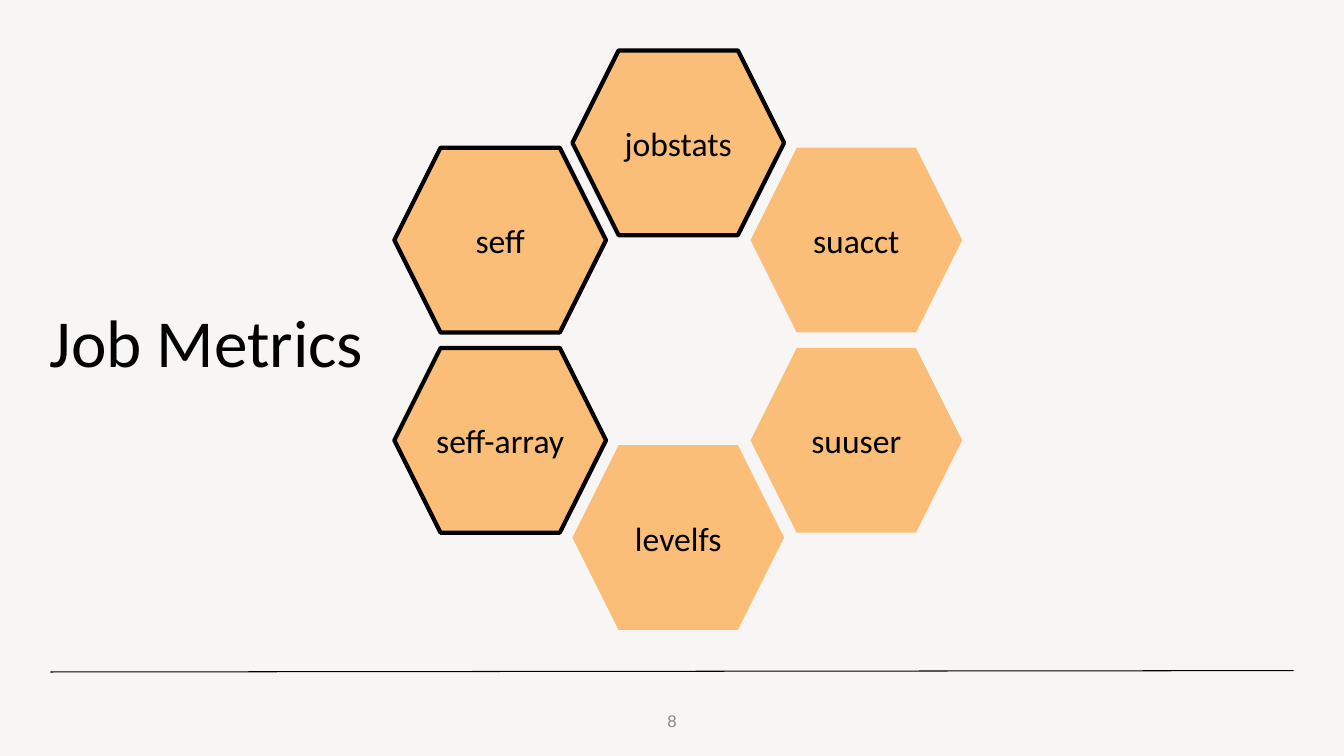
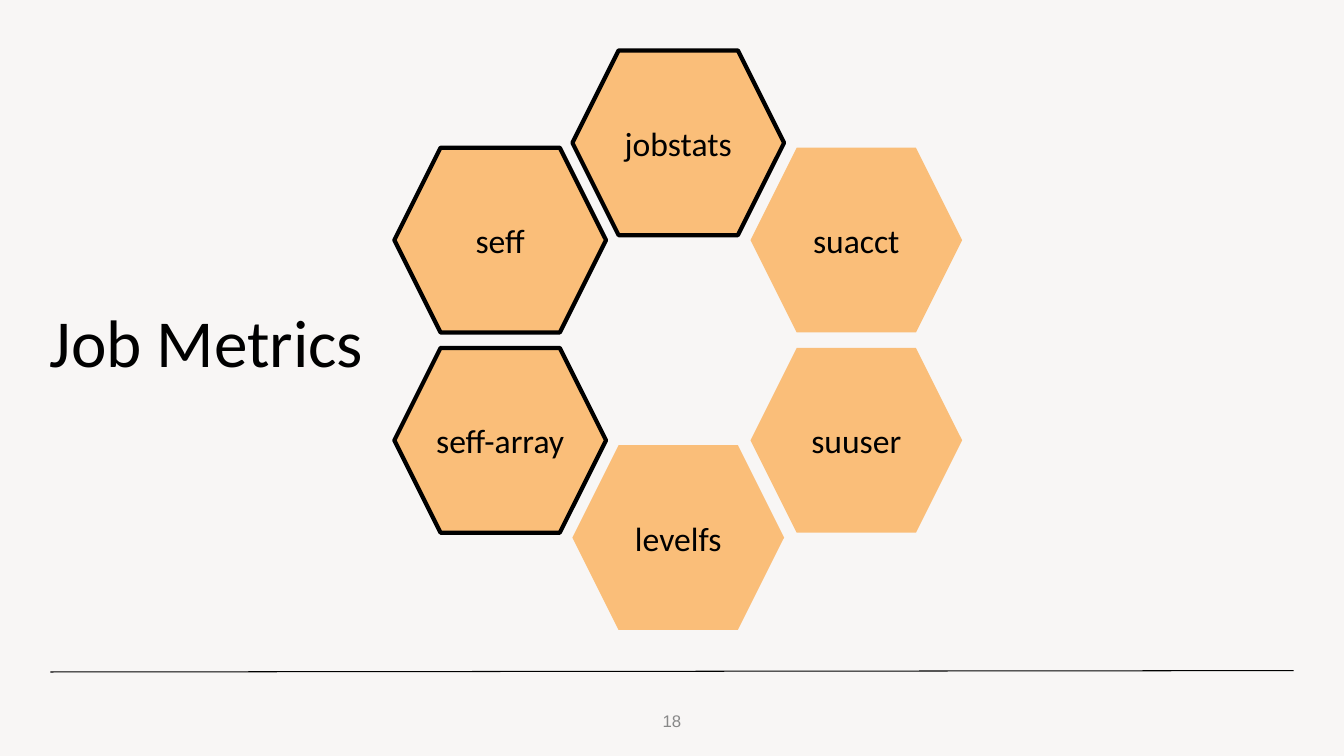
from lxml import etree
from pptx import Presentation
from pptx.dml.color import RGBColor
from pptx.enum.shapes import MSO_CONNECTOR, MSO_SHAPE
from pptx.enum.text import MSO_ANCHOR, MSO_AUTO_SIZE, PP_ALIGN
from pptx.oxml.ns import qn
from pptx.util import Pt

HEXAGON = MSO_SHAPE.HEXAGON
STRAIGHT = MSO_CONNECTOR.STRAIGHT
MIDDLE = MSO_ANCHOR.MIDDLE
FIT_SHAPE = MSO_AUTO_SIZE.SHAPE_TO_FIT_TEXT
CENTER = PP_ALIGN.CENTER

COLORS = {"background": "F8F6F5", "tool": "FABE79", "ink": "000000", "number": "888888"}
TITLE_ONLY = 5

# Boxes: left, top, width, height
TITLE_BOX = (15.84, 210.24, 263.5, 65.5)
RING_BOX = (281.7, 36, 405.6, 414)
NUMBER_BOX = (453, 500.4, 54, 28.8)

HEX_WIDTH, HEX_HEIGHT = 151.2, 132
ROW_GAP = 11  # between upper and lower hexagons of a side column

# Command, column (-1 to 1), upper or lower half (-1 or 1), outlined
TOOLS = [
    ("levelfs", 0, 1, False),
    ("jobstats", 0, -1, True),
    ("suuser", 1, 1, False),
    ("seff", -1, -1, True),
    ("seff-array", -1, 1, True),
    ("suacct", 1, -1, False),
]


def color(name):
    return RGBColor.from_string(COLORS[name])


def points(box):
    return [Pt(length) for length in box]


def write(frame, text, size, font_name, color_name):
    frame.text = text
    frame.vertical_anchor = MIDDLE
    paragraph = frame.paragraphs[0]
    paragraph.alignment = CENTER
    paragraph.font.size = Pt(size)
    paragraph.font.name = font_name
    paragraph.font.color.rgb = color(color_name)


def add_title(slide, box, text):
    title = slide.shapes.title
    title.left, title.top, title.width, title.height = points(box)
    write(title.text_frame, text, 48, "Calibri", "ink")
    title.text_frame.word_wrap = False
    title.text_frame.auto_size = FIT_SHAPE


def add_footer(slide, box, number):
    # Rule above the slide number
    rule = slide.shapes.add_connector(STRAIGHT, Pt(36), Pt(480), Pt(924), Pt(479))
    rule.line.color.rgb = color("ink")
    rule.line.width = Pt(0.75)
    etree.SubElement(rule._element.spPr, qn("a:effectLst"))

    # Slide number
    number_box = slide.shapes.add_textbox(*points(box))
    write(number_box.text_frame, str(number), 12, "Arial", "number")
    number_box.text_frame.word_wrap = True


def add_tool(slide, box, command, outlined):
    tool = slide.shapes.add_shape(HEXAGON, *points(box))
    tool.shadow.inherit = False
    tool.fill.solid()
    tool.fill.fore_color.rgb = color("tool")
    if outlined:
        tool.line.color.rgb = color("ink")
        tool.line.width = Pt(3)
    else:
        tool.line.fill.background()
    write(tool.text_frame, command, 24, "Calibri", "ink")
    tool.text_frame.word_wrap = False


def add_tool_ring(slide, box):
    left, top, width, height = box
    column_step = (width - HEX_WIDTH) / 2
    middle_offset = (height - HEX_HEIGHT) / 2
    side_offset = (HEX_HEIGHT + ROW_GAP) / 2
    for command, column, half, outlined in TOOLS:
        offset = side_offset if column else middle_offset
        hex_left = left + (column + 1) * column_step
        hex_top = top + middle_offset + half * offset
        add_tool(slide, (hex_left, hex_top, HEX_WIDTH, HEX_HEIGHT), command, outlined)


def add_metrics_slide(prs, number):
    slide = prs.slides.add_slide(prs.slide_layouts[TITLE_ONLY])
    add_title(slide, TITLE_BOX, "Job Metrics")
    add_tool_ring(slide, RING_BOX)
    add_footer(slide, NUMBER_BOX, number)


def main():
    prs = Presentation()
    prs.slide_width, prs.slide_height = Pt(960), Pt(540)
    backdrop = prs.slide_master.background.fill
    backdrop.solid()
    backdrop.fore_color.rgb = color("background")
    for number in (8, 18):
        add_metrics_slide(prs, number)
    prs.save("out.pptx")


if __name__ == "__main__":
    main()
